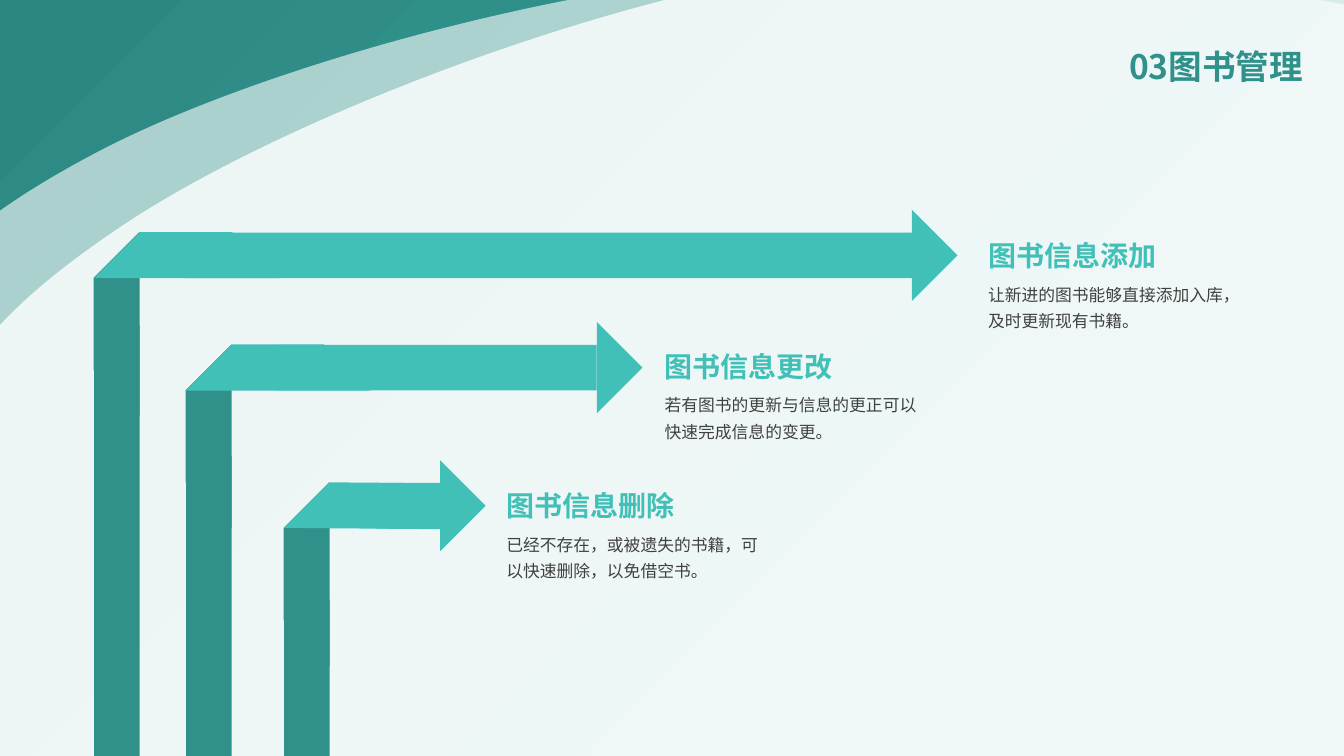
"""Build the book management slide with three folded arrows."""
from lxml.etree import SubElement
from pptx import Presentation
from pptx.dml.color import RGBColor
from pptx.enum.shapes import MSO_SHAPE
from pptx.enum.text import MSO_ANCHOR, MSO_AUTO_SIZE, PP_ALIGN
from pptx.oxml.ns import qn
from pptx.util import Cm, Pt

WIDTH, HEIGHT = 33.87, 19.05
FONT = "Noto Sans CJK SC"
DARK, LIGHT, INK, WHITE = "30918B", "41C0B8", "404040", "FFFFFF"
BACKDROP = [(0, "39ACA5"), (23, "39ACA5"), (69, "30918B"), (97, "2D8781")]
WAVE_SIZE = (51.92, 25.22)
WAVE_START = (1.47, 10.74)
WAVE_CURVES = [
    [(2.31, 8.4), (3.35, 6.8), (7.34, 4.7)],
    [(11.3, 2.61), (19.23, 0.35), (25.55, 0.05)],
    [(31.9, -0.26), (41.37, 0.83), (45.34, 2.94)],
    [(49.32, 5.03), (53.85, 11.43), (51.08, 14.73)],
    [(48.28, 18.06), (33.68, 24.51), (25.55, 25.17)],
    [(17.42, 25.83), (6.22, 20.8), (2.26, 18.69)],
    [(-1.73, 16.61), (0.63, 13.08), (1.47, 10.74)],
]
WAVES = [
    {"opacity": 60, "corner": (-4.9, -0.86), "rotation": 0},
    {"opacity": 80, "corner": (-3.51, -0.99), "rotation": 354.1},
]
TITLE = "03图书管理"
ARROWS = [
    {"heading": "图书信息添加", "detail": "让新进的图书能够直接添加入库，及时更新现有书籍。",
     "fold": (2.37, 7.01), "stem_top": 8.2, "head": 22.98, "label": (24.65, 5.64),
     "stripe": (3.28, 3.28, 0.5)},
    {"heading": "图书信息更改", "detail": "若有图书的更新与信息的更正可以快速完成信息的变更。",
     "fold": (4.69, 9.84), "stem_top": 11.48, "head": 15.04, "label": (16.5, 8.43),
     "stripe": (3.28, 3.28, 0.5)},
    {"heading": "图书信息删除", "detail": "已经不存在，或被遗失的书籍，可以快速删除，以免借空书。",
     "fold": (7.16, 13.32), "stem_top": 15.11, "head": 11.09, "label": (12.51, 11.94),
     "stripe": (2.95, 3, 0.45)},
]
BAND, STRIPE = 1.15, 3.28
TITLE_FORMAT = {"size": Pt(24), "bold": True, "name": FONT}
HEADING_FORMAT = {"size": Pt(20), "bold": True, "name": FONT}
DETAIL_FORMAT = {"size": Pt(12), "bold": False, "name": FONT}


def paint(color_format, color):
    color_format.rgb = RGBColor.from_string(color)


def finish(shape, color):
    shape.shadow.inherit = False
    shape.line.fill.background()
    shape.fill.solid()
    paint(shape.fill.fore_color, color)


def add_piece(slide, kind, center, size, color, rotation=0, flip=False):
    (x, y), (width, height) = center, size
    piece = slide.shapes.add_shape(kind, Cm(x - width / 2), Cm(y - height / 2),
                                   Cm(width), Cm(height))
    finish(piece, color)
    piece.rotation = rotation
    if flip:
        piece._element.spPr.xfrm.set("flipH", "1")
    return piece


def add_text(slide, text, box, color, values, wrap=True, spacing=1.3):
    label = slide.shapes.add_textbox(*map(Cm, box))
    frame = label.text_frame
    frame.word_wrap = wrap
    frame.auto_size = MSO_AUTO_SIZE.SHAPE_TO_FIT_TEXT
    paragraph = frame.paragraphs[0]
    paragraph.line_spacing = spacing
    run = paragraph.add_run()
    run.text = text
    paint(run.font.color, color)
    for name, value in values.items():
        setattr(run.font, name, value)
    SubElement(run._r.get_or_add_rPr(), qn("a:ea"), typeface=FONT)
    return frame


def add_backdrop(slide):
    backdrop = add_piece(slide, MSO_SHAPE.RECTANGLE, (WIDTH / 2, HEIGHT / 2),
                         (WIDTH, HEIGHT), DARK)
    backdrop.fill.gradient()
    backdrop.fill.gradient_angle = 135
    stops = backdrop._element.spPr.find(qn("a:gradFill")).find(qn("a:gsLst"))
    stops.clear()
    for percent, color in BACKDROP:
        stop = SubElement(stops, qn("a:gs"), pos=str(percent * 1000))
        SubElement(stop, qn("a:srgbClr"), val=color)


def add_points(parent, tag, points):
    step = SubElement(parent, qn(tag))
    for x, y in points:
        SubElement(step, qn("a:pt"), x=str(Cm(x)), y=str(Cm(y)))


def add_wave(slide, wave):
    builder = slide.shapes.build_freeform(*map(Cm, WAVE_START))
    builder.add_line_segments([tuple(map(Cm, curve[-1])) for curve in WAVE_CURVES])
    outline = builder.convert_to_shape()
    finish(outline, WHITE)
    outline.left, outline.top = map(Cm, wave["corner"])
    outline.width, outline.height = map(Cm, WAVE_SIZE)
    outline.rotation = wave["rotation"]
    properties = outline._element.spPr
    track = next(properties.iter(qn("a:path")))
    track.clear()
    for side, length in zip("wh", WAVE_SIZE):
        track.set(side, str(Cm(length)))
    add_points(track, "a:moveTo", [WAVE_START])
    for curve in WAVE_CURVES:
        add_points(track, "a:cubicBezTo", curve)
    SubElement(track, qn("a:close"))
    color = properties.find(qn("a:solidFill"))[0]
    SubElement(color, qn("a:alpha"), val=str(wave["opacity"] * 1000))


def add_arrow(slide, arrow):
    left, fold = arrow["fold"]
    top, head = arrow["stem_top"], arrow["head"]
    middle, start = fold - BAND / 2, left + 2 * BAND
    add_piece(slide, MSO_SHAPE.DIAGONAL_STRIPE, (left + BAND, fold + BAND),
              (STRIPE, STRIPE), DARK, 315)
    add_piece(slide, MSO_SHAPE.RECTANGLE, (left + BAND / 2, (top + HEIGHT) / 2),
              (BAND, HEIGHT - top), DARK)
    width, height, cut = arrow["stripe"]
    corner = add_piece(slide, MSO_SHAPE.DIAGONAL_STRIPE, (left + width / 2 ** 0.5, fold),
                       (width, height), LIGHT, 315, True)
    corner.adjustments[0] = cut
    add_piece(slide, MSO_SHAPE.RECTANGLE, ((start + head) / 2, middle),
              (BAND, head - start), LIGHT, 270, True)
    add_piece(slide, MSO_SHAPE.ISOSCELES_TRIANGLE, (head + BAND / 2, middle),
              (2 * BAND, BAND), LIGHT, 90)
    x, y = arrow["label"]
    add_text(slide, arrow["detail"], (x, y + 1.25, 6.99, 1.52), INK, DETAIL_FORMAT)
    add_text(slide, arrow["heading"], (x, y, 4.78, 1.27), LIGHT, HEADING_FORMAT, False)


def main():
    deck = Presentation()
    deck.slide_width, deck.slide_height = Cm(WIDTH), Cm(HEIGHT)
    slide = deck.slides.add_slide(deck.slide_layouts[6])
    add_backdrop(slide)
    for wave in WAVES:
        add_wave(slide, wave)
    title = add_text(slide, TITLE, (18.36, 0.73, 14.73, 2.01), DARK, TITLE_FORMAT,
                     spacing=0.9)
    title.auto_size = MSO_AUTO_SIZE.NONE
    title.vertical_anchor = MSO_ANCHOR.MIDDLE
    title.paragraphs[0].alignment = PP_ALIGN.RIGHT
    for arrow in ARROWS:
        add_arrow(slide, arrow)
    deck.save("out.pptx")


if __name__ == "__main__":
    main()
